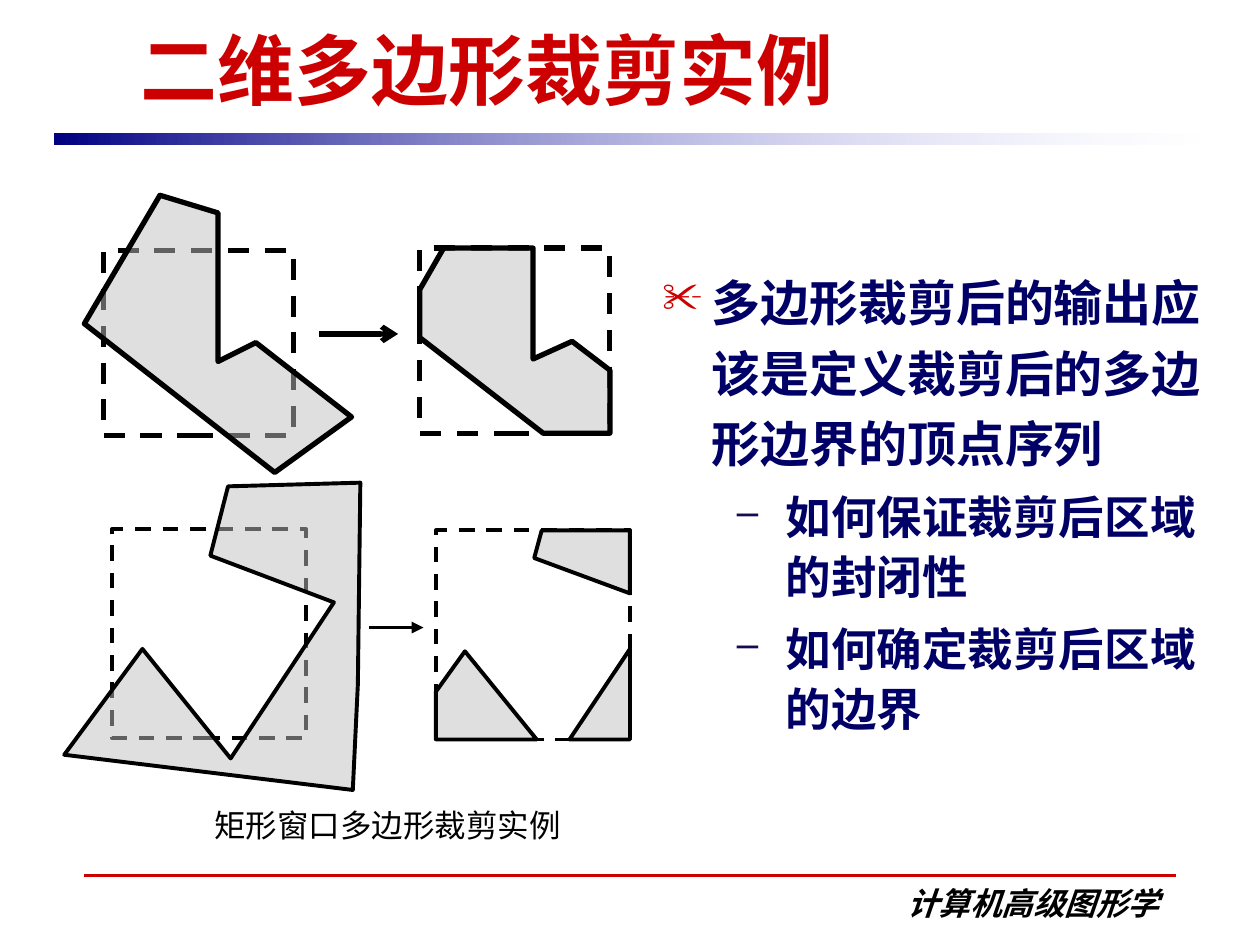
from lxml import etree
from pptx import Presentation
from pptx.dml.color import RGBColor
from pptx.enum import dml, shapes, text
from pptx.oxml.ns import qn
from pptx.util import Pt

CJK = "Noto Sans CJK SC"
BLACK, RED, NAVY, GREY = "000000", "CC0000", "000066", "C0C0C0"


def color(value):
    return RGBColor.from_string(value)


def add_xml(parent, tag, **attrs):
    return etree.SubElement(parent, qn(tag), {k: str(v) for k, v in attrs.items()})


def set_alpha(sp, value, percent):
    for clr in sp.element.spPr.iter(qn("a:srgbClr")):
        if clr.get("val") == value:
            add_xml(clr, "a:alpha", val=percent * 1000)


def add_line(s, start, end, line_color, width, head=None):
    line = s.shapes.add_connector(
        shapes.MSO_CONNECTOR.STRAIGHT, *(Pt(v) for v in start + end))
    line.line.color.rgb = color(line_color)
    line.line.width = Pt(width)
    if head:
        add_xml(line.line._get_or_add_ln(), "a:tailEnd", type=head)
    add_xml(line.element.spPr, "a:effectLst")


def add_box(s, box, anchor=text.MSO_ANCHOR.TOP):
    tf = s.shapes.add_textbox(*(Pt(v) for v in box)).text_frame
    tf.word_wrap = True
    tf.vertical_anchor = anchor
    return tf


def style(p, size, font_color, name=CJK, bold=True, italic=False):
    f = p.font
    f.name, f.size, f.bold, f.italic = name, Pt(size), bold, italic
    f.color.rgb = color(font_color)
    add_xml(f._element, "a:ea", typeface=CJK)


def add_label(s, box, words, align, **font):
    p = add_box(s, box).paragraphs[0]
    p.text = words
    p.alignment = align
    style(p, 18, BLACK, **font)


def add_title(s, box):
    p = add_box(s, box, text.MSO_ANCHOR.BOTTOM).paragraphs[0]
    p.text = "二维多边形裁剪实例"
    style(p, 44, RED)


def add_title_bar(s, box):
    sp = s.shapes.add_shape(shapes.MSO_SHAPE.RECTANGLE, *(Pt(v) for v in box))
    sp.shadow.inherit = False
    sp.line.fill.background()
    sp.fill.gradient()
    sp.fill.gradient_angle = 0
    for stop, value in zip(sp.fill.gradient_stops, ("000082", "CCCCFF")):
        stop.color.rgb = color(value)
    set_alpha(sp, "CCCCFF", 0)


def add_body(s, box, items):
    tf = add_box(s, box)
    for i, (level, words) in enumerate(items):
        p = tf.paragraphs[0] if i == 0 else tf.add_paragraph()
        p.text = words
        p.level = level
        size, spacing, left, bullet, bullet_color, font_color = (
            (26, 1.1, 70.5, "–", "140C52", NAVY) if level
            else (28, 1.2, 28, "✂", RED, NAVY))
        p.line_spacing = spacing
        if i:
            p.space_before = Pt(6.5)
        ppr = p._p.get_or_add_pPr()
        ppr.set("marL", str(Pt(left)))
        ppr.set("indent", str(Pt(-28)))
        add_xml(add_xml(ppr, "a:buClr"), "a:srgbClr", val=bullet_color)
        add_xml(ppr, "a:buSzPct", val=85000)
        add_xml(ppr, "a:buChar", char=bullet)
        style(p, size, font_color)


def add_clip_figure(s, box, width, polygons):
    """Dashed clip window with polygons placed relative to its corner."""
    left, top = box[:2]
    window = s.shapes.add_shape(
        shapes.MSO_SHAPE.RECTANGLE, *(Pt(v) for v in box))
    window.fill.background()
    window.line.dash_style = dml.MSO_LINE.DASH
    parts = [window]
    for points in polygons:
        (x, y), *rest = [(Pt(left + px), Pt(top + py)) for px, py in points]
        builder = s.shapes.build_freeform(x, y)
        builder.add_line_segments(rest, close=True)
        sp = builder.convert_to_shape()
        sp.fill.solid()
        sp.fill.fore_color.rgb = color(GREY)
        set_alpha(sp, GREY, 50)
        parts.append(sp)
    for sp in parts:
        sp.shadow.inherit = False
        sp.line.color.rgb = color(BLACK)
        sp.line.width = Pt(width)


# Window sizes of the two rows
W1, H1 = 108.7, 105.8
W2, H2 = 110.9, 119.5

FIGURES = [
    # Row 1: before and after clipping
    ((59, 143.3, W1, H1), 3, [
        [(32.4, -31.7), (-10.8, 41.7), (98, 126.7), (141.9, 95),
         (87.2, 52.5), (65.6, 63.3), (65.6, -21.6)]]),
    ((239.8, 141.8, W1, H1), 3, [
        [(13.7, 0), (0, 23.8), (0, 51.1), (70.6, H1), (W1, H1),
         (W1, 69.8), (87.1, 53.3), (64.8, 63.4), (64.8, 0)]]),
    # Row 2: before and after clipping
    ((64.1, 302.4, W2, H2), 2.25, [
        [(126.7, 41.8), (67.7, 131), (17.3, 68.4), (-27.4, 128.9),
         (137.5, 149), (140.4, 88.6), (141.8, -26.6), (66.2, -24.5),
         (56.1, 15.1)]]),
    ((249.1, 303.1, W2, H2), 2.25, [
        [(16.6, 69.1), (0, 92.2), (0, H2), (57.6, H2)],
        [(W2, 67.7), (W2, H2), (76.3, H2)],
        [(60.5, 0), (56.2, 15.8), (W2, 36), (W2, 0)]]),
]

BODY = [
    (0, "多边形裁剪后的输出应该是定义裁剪后的多边形边界的顶点序列"),
    (1, "如何保证裁剪后区域的封闭性"),
    (1, "如何确定裁剪后区域的边界"),
]


def main():
    prs = Presentation()
    prs.slide_width, prs.slide_height = Pt(720), Pt(540)
    s = prs.slides.add_slide(prs.slide_layouts[6])

    # Frame: footer rule, title bar, course name
    add_line(s, (48, 500.5), (672, 500.5), RED, 1.75)
    add_title_bar(s, (31, 76.3, 658, 6.5))
    add_label(s, (473.8, 501.8, 195.8, 28.8), "计算机高级图形学",
              text.PP_ALIGN.RIGHT, italic=True)

    # Text
    add_body(s, (371.5, 145.5, 326.2, 280.8), BODY)
    add_title(s, (73.4, 9.4, 601.2, 59.8))

    # Clipping examples
    for box, width, polygons in FIGURES:
        add_clip_figure(s, box, width, polygons)
    add_line(s, (182.2, 190.8), (227.5, 190.8), BLACK, 3, "arrow")
    add_line(s, (211, 358.6), (242, 358.6), BLACK, 2.25, "triangle")
    add_label(s, (99.4, 457.2, 244, 28.8), "矩形窗口多边形裁剪实例",
              text.PP_ALIGN.CENTER, name="Arial", bold=False)

    prs.save("out.pptx")


if __name__ == "__main__":
    main()
